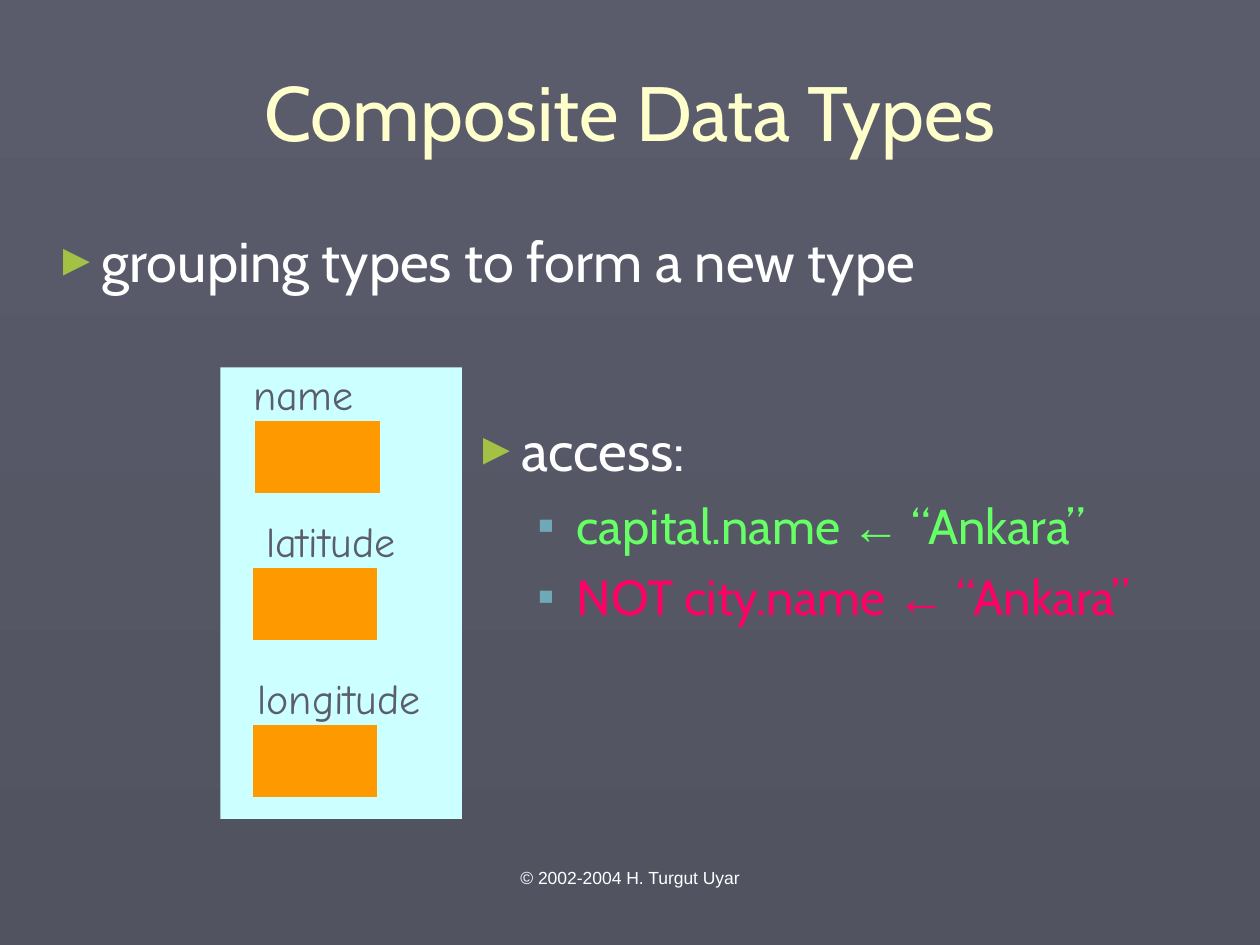
import lxml.etree
import pptx
import pptx.dml.color
import pptx.enum.shapes
import pptx.enum.text
import pptx.oxml.ns
import pptx.util

Pt = pptx.util.Pt
ALIGN = pptx.enum.text.PP_ALIGN
ANCHOR = pptx.enum.text.MSO_ANCHOR
BODY_FONT, LABEL_FONT, PLAIN_FONT = "Cabin", "Comic Neue", "Arial"
WHITE, PALE, ORANGE, SLATE = "FFFFFF", "CCFFFF", "FF9900", "5B5D6B"


def color(value):
    """Turn a hex string into a colour."""
    return pptx.dml.color.RGBColor.from_string(value)


def paint_background(slide, top, bottom):
    """Fill the slide with a gradient running from top to bottom."""
    fill = slide.background.fill
    fill.gradient()
    fill.gradient_angle = 270
    for stop, value in zip(fill.gradient_stops, (top, bottom)):
        stop.color.rgb = color(value)


def add_text_box(shapes, left, top, width, height, wrap=True, anchor=ANCHOR.TOP):
    """Add an empty text box and return its text frame."""
    frame = shapes.add_textbox(Pt(left), Pt(top), Pt(width), Pt(height)).text_frame
    frame.word_wrap = wrap
    frame.vertical_anchor = anchor
    return frame


def add_run(paragraph, text, size, value, font=BODY_FONT):
    """Add one run of formatted text."""
    run = paragraph.add_run()
    run.text = text
    run.font.size = Pt(size)
    run.font.name = font
    run.font.color.rgb = color(value)


def add_bullet(paragraph, character, value, percent, margin, indent):
    """Give a paragraph a coloured bullet with a hanging indent."""
    properties = paragraph._p.get_or_add_pPr()
    properties.set("marL", str(Pt(margin)))
    properties.set("indent", str(Pt(-indent)))
    name = pptx.oxml.ns.qn
    bullet_color = lxml.etree.SubElement(properties, name("a:buClr"))
    lxml.etree.SubElement(bullet_color, name("a:srgbClr"), val=value)
    lxml.etree.SubElement(properties, name("a:buSzPct"), val=str(percent * 1000))
    lxml.etree.SubElement(properties, name("a:buFont"), typeface=PLAIN_FONT)
    lxml.etree.SubElement(properties, name("a:buChar"), char=character)


def add_topic(frame, text):
    """Write a main bullet in the first paragraph of a frame."""
    paragraph = frame.paragraphs[0]
    add_bullet(paragraph, "►", "A3C145", 80, 27, 27)
    add_run(paragraph, text, 32, WHITE)


def add_assignment(frame, target, value):
    """Add a second-level bullet that assigns a string to a target."""
    paragraph = frame.add_paragraph()
    paragraph.level = 1
    add_bullet(paragraph, "▪", "6FA9B7", 100, 58.5, 22.5)
    paragraph.space_before = Pt(7)
    add_run(paragraph, target + " ", 28, value)
    add_run(paragraph, "←", 28, value, PLAIN_FONT)
    add_run(paragraph, " “Ankara”", 28, value)


def add_centered_line(slide, box, text, size, value, font, anchor=ANCHOR.TOP):
    """Add a text box holding one centred line."""
    paragraph = add_text_box(slide.shapes, *box, anchor=anchor).paragraphs[0]
    paragraph.alignment = ALIGN.CENTER
    add_run(paragraph, text, size, value, font)


def add_label(shapes, text, left, top, width):
    """Add a handwritten-style label."""
    frame = add_text_box(shapes, left, top, width, 39, wrap=False)
    frame.auto_size = pptx.enum.text.MSO_AUTO_SIZE.SHAPE_TO_FIT_TEXT
    paragraph = frame.paragraphs[0]
    paragraph.line_spacing = 1.1
    add_run(paragraph, text, 24, SLATE, LABEL_FONT)


def add_rectangle(shapes, left, top, width, height, fill, line=None):
    """Add a flat rectangle, outlined when a line colour is given."""
    kind = pptx.enum.shapes.MSO_SHAPE.RECTANGLE
    shape = shapes.add_shape(kind, Pt(left), Pt(top), Pt(width), Pt(height))
    shape.shadow.inherit = False
    shape.fill.solid()
    shape.fill.fore_color.rgb = color(fill)
    if line:
        shape.line.color.rgb = color(line)
        shape.line.width = Pt(0.75)
    else:
        shape.line.fill.background()


def add_record(slide):
    """Draw the record with its three labelled fields."""
    shapes = slide.shapes.add_group_shape().shapes
    add_rectangle(shapes, 126, 210, 138, 258, PALE)
    fields = (
        ("name", 137.5, 204, 73, 145.5, 240),
        ("latitude", 145, 288, 89, 144, 324),
        ("longitude", 140, 378, 110, 144, 414),
    )
    for text, label_left, label_top, label_width, left, top in fields:
        add_rectangle(shapes, left, top, 72, 42, ORANGE, PALE)
        add_label(shapes, text, label_left, label_top, label_width)


def main():
    """Build and save the slide."""
    presentation = pptx.Presentation()
    presentation.slide_width, presentation.slide_height = Pt(720), Pt(540)
    slide = presentation.slides.add_slide(presentation.slide_layouts[6])
    paint_background(slide, "5A5C6C", "515361")

    add_centered_line(slide, (24, 18, 672, 90), "Composite Data Types", 44,
                      "FFFFCC", BODY_FONT, ANCHOR.MIDDLE)
    add_topic(add_text_box(slide.shapes, 24, 126, 672, 354),
              "grouping types to form a new type")
    access = add_text_box(slide.shapes, 264, 234, 432, 144)
    add_topic(access, "access:")
    add_assignment(access, "capital.name", "66FF66")
    add_assignment(access, "NOT city.name", "FF0066")

    add_record(slide)
    add_centered_line(slide, (246, 492, 228, 37.5), "© 2002-2004 H. Turgut Uyar",
                      10, WHITE, PLAIN_FONT)
    presentation.save("out.pptx")


if __name__ == "__main__":
    main()
